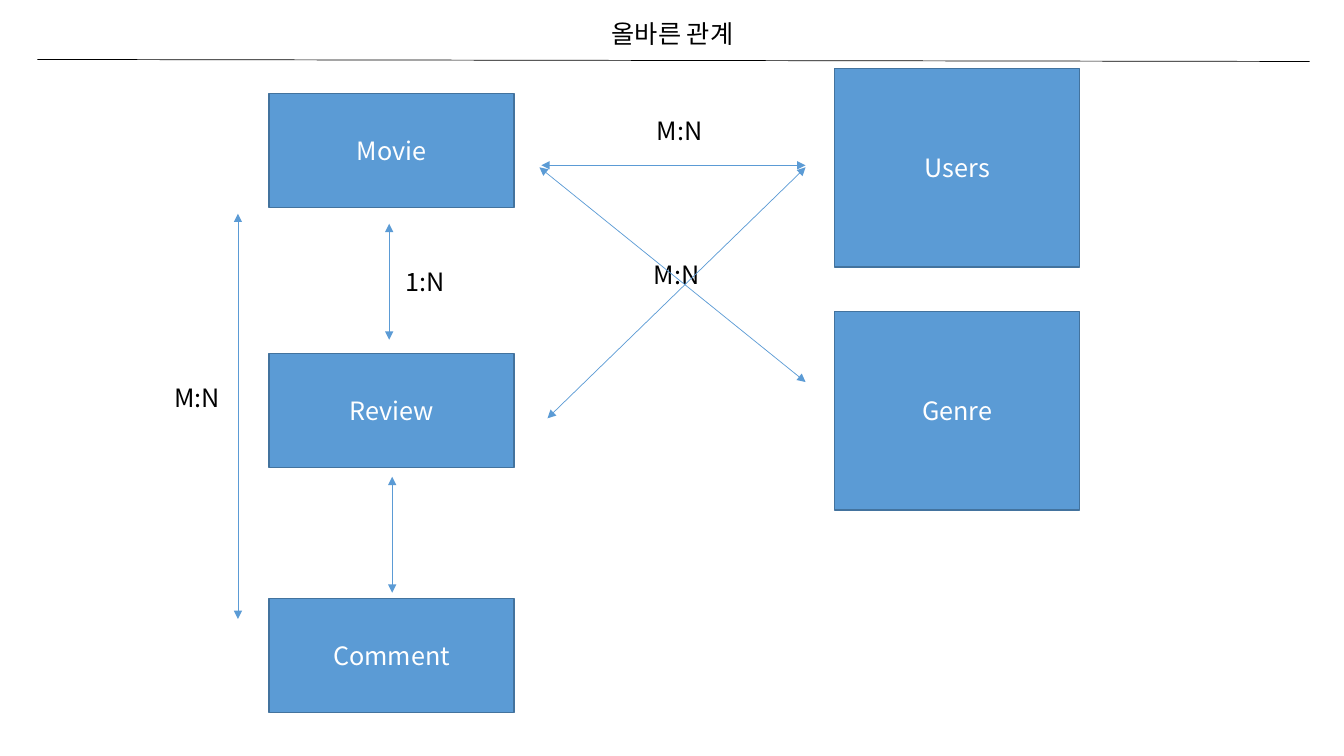
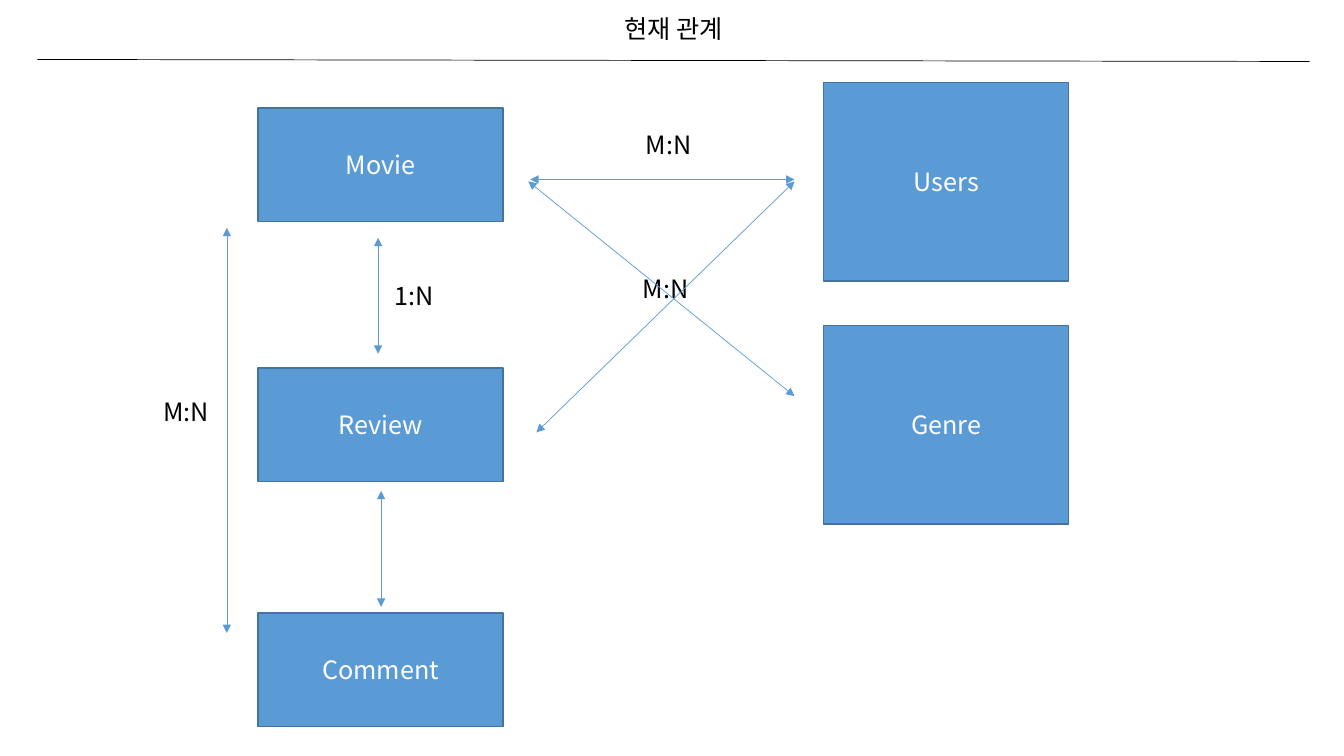
import dataclasses

import pptx
import pptx.dml.color
import pptx.enum.shapes
import pptx.enum.text
import pptx.oxml.ns
import pptx.util
from lxml import etree

Inches = pptx.util.Inches
Pt = pptx.util.Pt


@dataclasses.dataclass(frozen=True)
class Theme:
    font: str = "Noto Sans CJK KR"
    text_size: int = 18
    box_fill: str = "5B9BD5"
    box_line: str = "43739E"
    box_text: str = "FFFFFF"
    ink: str = "000000"
    box_border: float = 1
    thin_line: float = 0.5
    label_width: float = 1.68
    label_height: float = 0.41
    box_width: float = 2.43


THEME = Theme()

# Content: title, title position, and shift of the diagram on each slide
SLIDES = [
    ("올바른 관계", (5.83, 0.13), (0, 0)),
    ("현재 관계", (5.84, 0.08), (-0.11, 0.14)),
]
RULE = ((0.37, 0.59), (12.99, 0.61))

# Diagram columns: left edge, box height, and the name and top of each box
COLUMNS = [
    (2.67, 1.13, [("Movie", 0.93), ("Review", 3.51), ("Comment", 5.94)]),
    (8.28, 1.97, [("Users", 0.68), ("Genre", 3.09)]),
]

# Diagram arrows: start and end
ARROWS = [
    ((5.37, 1.64), (7.99, 1.64)),  # Movie - Users
    ((5.35, 1.66), (7.99, 3.79)),  # Movie - Genre
    ((5.43, 4.15), (7.99, 1.66)),  # Review - Users
    ((3.89, 5.88), (3.89, 4.73)),  # Comment - Review
    ((3.86, 3.37), (3.86, 2.22)),  # Review - Movie
    ((2.36, 6.14), (2.36, 2.12)),  # Comment - Movie
]

# Relation labels: text, left, top, width
LABELS = [
    ("M:N", 5.9, 1.09, THEME.label_width),
    ("M:N", 5.87, 2.52, THEME.label_width),
    ("1:N", 3.38, 2.59, THEME.label_width),
    ("M:N", 1.61, 3.74, 0.69),
]


def color(value):
    return pptx.dml.color.RGBColor.from_string(value)


def add_child(parent, tag, **attributes):
    return etree.SubElement(parent, pptx.oxml.ns.qn(tag), **attributes)


def write_text(frame, text, *, ink=THEME.ink, size=THEME.text_size,
               align=pptx.enum.text.PP_ALIGN.CENTER,
               anchor=pptx.enum.text.MSO_ANCHOR.TOP):
    frame.word_wrap = True
    frame.vertical_anchor = anchor
    para = frame.paragraphs[0]
    para.alignment = align
    span = para.add_run()
    span.text = text
    span.font.size = Pt(size)
    span.font.name = THEME.font
    span.font.color.rgb = color(ink)
    add_child(span.font._element, "a:ea", typeface=THEME.font)


def add_box(page, name, left, top, height):
    box = page.shapes.add_shape(
        pptx.enum.shapes.MSO_SHAPE.RECTANGLE, Inches(left), Inches(top),
        Inches(THEME.box_width), Inches(height))
    box.shadow.inherit = False
    box.fill.solid()
    box.fill.fore_color.rgb = color(THEME.box_fill)
    box.line.color.rgb = color(THEME.box_line)
    box.line.width = Pt(THEME.box_border)
    write_text(box.text_frame, name, ink=THEME.box_text,
               anchor=pptx.enum.text.MSO_ANCHOR.MIDDLE)


def add_label(page, text, left, top, width=THEME.label_width):
    label = page.shapes.add_textbox(
        Inches(left), Inches(top), Inches(width), Inches(THEME.label_height))
    write_text(label.text_frame, text)
    label.text_frame.auto_size = pptx.enum.text.MSO_AUTO_SIZE.SHAPE_TO_FIT_TEXT


def add_line(page, start, end, line_color, arrows=False):
    line = page.shapes.add_connector(
        pptx.enum.shapes.MSO_CONNECTOR.STRAIGHT,
        *(Inches(value) for value in (*start, *end)))
    line.line.color.rgb = color(line_color)
    line.line.width = Pt(THEME.thin_line)
    if arrows:
        for tag in ("a:headEnd", "a:tailEnd"):
            add_child(line.get_or_add_ln(), tag, type="triangle")
    add_child(line._element.spPr, "a:effectLst")


def add_diagram(page, dx, dy):
    for left, height, boxes in COLUMNS:
        for name, top in boxes:
            add_box(page, name, left + dx, top + dy, height)
    for text, left, top, width in LABELS:
        add_label(page, text, left + dx, top + dy, width)
    for ends in ARROWS:
        start, end = [(x + dx, y + dy) for x, y in ends]
        add_line(page, start, end, THEME.box_fill, arrows=True)


def main():
    deck = pptx.Presentation()
    deck.slide_width = Inches(13.33)
    deck.slide_height = Inches(7.5)
    for title, title_place, shift in SLIDES:
        page = deck.slides.add_slide(deck.slide_layouts[6])
        add_diagram(page, *shift)
        add_label(page, title, *title_place)
        add_line(page, *RULE, THEME.ink)
    deck.save("out.pptx")


if __name__ == "__main__":
    main()
